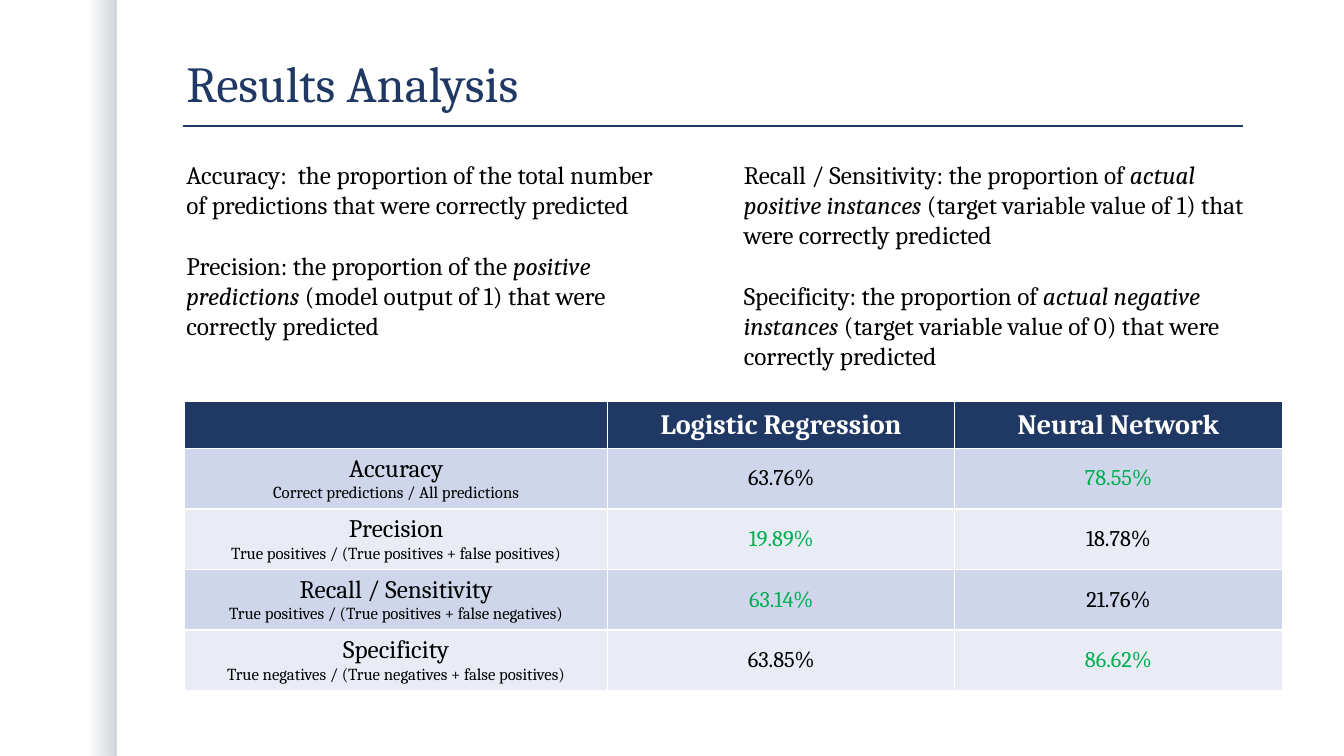
"""Build the results analysis slide comparing two classifiers."""
from dataclasses import dataclass

from lxml.etree import SubElement
from pptx import Presentation
from pptx.dml.color import RGBColor
from pptx.enum.shapes import MSO_CONNECTOR, MSO_SHAPE
from pptx.enum.text import MSO_ANCHOR, PP_ALIGN
from pptx.oxml.ns import qn
from pptx.slide import Slide
from pptx.table import _Cell
from pptx.text.text import _Paragraph
from pptx.util import Pt


@dataclass(frozen=True)
class Theme:
    """Colours, font and type sizes of the slide."""

    font: str = "Cambria"
    navy: RGBColor = RGBColor(0x20, 0x38, 0x64)
    slate: RGBColor = RGBColor(0x44, 0x54, 0x6A)
    black: RGBColor = RGBColor(0, 0, 0)
    white: RGBColor = RGBColor(255, 255, 255)
    best: RGBColor = RGBColor(0x00, 0xB0, 0x50)
    bands: tuple[RGBColor, RGBColor] = (RGBColor(0xCF, 0xD5, 0xEA), RGBColor(0xE9, 0xEB, 0xF5))
    title_size: float = 36
    header_size: float = 20
    body_size: float = 18
    value_size: float = 16
    formula_size: float = 12


@dataclass(frozen=True)
class Box:
    """Position and size in points."""

    left: float
    top: float
    width: float
    height: float


@dataclass(frozen=True)
class Definition:
    """A metric definition with an emphasised middle part."""

    lead: str
    emphasis: str = ""
    rest: str = ""


@dataclass(frozen=True)
class Metric:
    """A table row: metric, formula, model scores and index of the better model."""

    name: str
    formula: str
    scores: tuple[str, str]
    winner: int


THEME = Theme()
TITLE_BOX = Box(126, 30.24, 774, 54)
TABLE_BOX = Box(131.8, 286.8, 784.1, 200.3)
COLUMN_WIDTHS = (302.4, 247.7, 234)
ROW_HEIGHTS = (33.5,) + (41.7,) * 4
MODELS = ("Logistic Regression", "Neural Network")
DEFINITIONS = (
    (Box(126, 110.2, 353.5, 159.8), (
        Definition("Accuracy:  the proportion of the total number of predictions "
                   "that were correctly predicted"),
        Definition("Precision: the proportion of the ", "positive predictions",
                   " (model output of 1) that were correctly predicted"),
    )),
    (Box(524.2, 110.2, 392.4, 159.8), (
        Definition("Recall / Sensitivity: the proportion of ", "actual positive instances",
                   " (target variable value of 1) that were correctly predicted"),
        Definition("Specificity: the proportion of ", "actual negative instances ",
                   "(target variable value of 0) that were correctly predicted"),
    )),
)
METRICS = (
    Metric("Accuracy", "Correct predictions / All predictions", ("63.76%", "78.55%"), 1),
    Metric("Precision", "True positives / (True positives + false positives)",
           ("19.89%", "18.78%"), 0),
    Metric("Recall / Sensitivity", "True positives / (True positives + false negatives)",
           ("63.14%", "21.76%"), 0),
    Metric("Specificity", "True negatives / (True negatives + false positives)",
           ("63.85%", "86.62%"), 1),
)


def style(paragraph: _Paragraph, size: float, color: RGBColor, bold: bool = False) -> None:
    """Set the font of a whole paragraph."""
    font = paragraph.font
    font.name, font.size, font.bold = THEME.font, Pt(size), bold
    font.color.rgb = color


def add_side_shade(slide: Slide) -> None:
    """Draw the left band that fades in towards its right edge."""
    shape = slide.shapes.add_shape(MSO_SHAPE.RECTANGLE, Pt(0), Pt(0), Pt(83.5), Pt(540))
    shape.shadow.inherit = False
    shape.line.fill.background()
    shape.fill.gradient()
    shape.fill.gradient_angle = 0
    for stop, position, alpha in zip(shape.fill.gradient_stops, (0.75, 1), (0, 25000)):
        stop.position = position
        stop.color.rgb = THEME.slate
    colors = shape.element.spPr.iter(qn("a:srgbClr"))
    for color, alpha in zip(colors, (0, 25000)):
        SubElement(color, qn("a:alpha"), val=str(alpha))


def add_rule(slide: Slide) -> None:
    """Draw the line under the title."""
    line = slide.shapes.add_connector(
        MSO_CONNECTOR.STRAIGHT, Pt(130.5), Pt(90), Pt(888), Pt(90))
    line.line.color.rgb = THEME.navy
    line.line.width = Pt(1)
    SubElement(line.element.spPr, qn("a:effectLst"))


def add_frame(slide: Slide, box: Box):
    """Add a wrapping text box and return its text frame."""
    shape = slide.shapes.add_textbox(Pt(box.left), Pt(box.top), Pt(box.width), Pt(box.height))
    shape.text_frame.word_wrap = True
    return shape.text_frame


def add_title(slide: Slide, text: str) -> None:
    """Write the slide title."""
    frame = add_frame(slide, TITLE_BOX)
    frame.vertical_anchor = MSO_ANCHOR.BOTTOM
    paragraph = frame.paragraphs[0]
    paragraph.text = text
    paragraph.line_spacing = 0.9
    style(paragraph, THEME.title_size, THEME.navy)


def add_definitions(slide: Slide, box: Box, definitions: tuple[Definition, ...]) -> None:
    """Write one column of metric definitions."""
    frame = add_frame(slide, box)
    for index, definition in enumerate(definitions):
        paragraph = frame.add_paragraph() if index else frame.paragraphs[0]
        paragraph.space_before = Pt(21.5 if index else 0)
        style(paragraph, THEME.body_size, THEME.black)
        paragraph.add_run().text = definition.lead
        if definition.emphasis:
            emphasis = paragraph.add_run()
            emphasis.text = definition.emphasis
            emphasis.font.italic = True
            paragraph.add_run().text = definition.rest


def fill_cell(cell: _Cell, fill: RGBColor, lines: tuple[str, ...], sizes: tuple[float, ...],
              color: RGBColor, bold: bool = False) -> None:
    """Fill a table cell with centred lines of text."""
    cell.fill.solid()
    cell.fill.fore_color.rgb = fill
    cell.vertical_anchor = MSO_ANCHOR.MIDDLE
    cell.text = "\n".join(lines)
    for paragraph, size in zip(cell.text_frame.paragraphs, sizes):
        paragraph.alignment = PP_ALIGN.CENTER
        style(paragraph, size, color, bold)


def add_results(slide: Slide) -> None:
    """Add the table of scores, with the better model in green."""
    box = TABLE_BOX
    table = slide.shapes.add_table(
        len(ROW_HEIGHTS), len(COLUMN_WIDTHS),
        Pt(box.left), Pt(box.top), Pt(box.width), Pt(box.height)).table
    for column, width in zip(table.columns, COLUMN_WIDTHS):
        column.width = Pt(width)
    for row, height in zip(table.rows, ROW_HEIGHTS):
        row.height = Pt(height)
    for column, heading in enumerate(("",) + MODELS):
        fill_cell(table.cell(0, column), THEME.navy, (heading,), (THEME.header_size,),
                  THEME.white, bold=True)
    for row, metric in enumerate(METRICS, start=1):
        band = THEME.bands[(row - 1) % 2]
        fill_cell(table.cell(row, 0), band, (metric.name, metric.formula),
                  (THEME.body_size, THEME.formula_size), THEME.black)
        for model, score in enumerate(metric.scores):
            color = THEME.best if model == metric.winner else THEME.black
            fill_cell(table.cell(row, model + 1), band, (score,), (THEME.value_size,), color)


def main() -> None:
    """Build and save the presentation."""
    presentation = Presentation()
    presentation.slide_width, presentation.slide_height = Pt(960), Pt(540)
    slide = presentation.slides.add_slide(presentation.slide_layouts[6])
    add_side_shade(slide)
    add_rule(slide)
    add_title(slide, "Results Analysis")
    add_results(slide)
    for box, definitions in DEFINITIONS:
        add_definitions(slide, box, definitions)
    presentation.save("out.pptx")


main()
